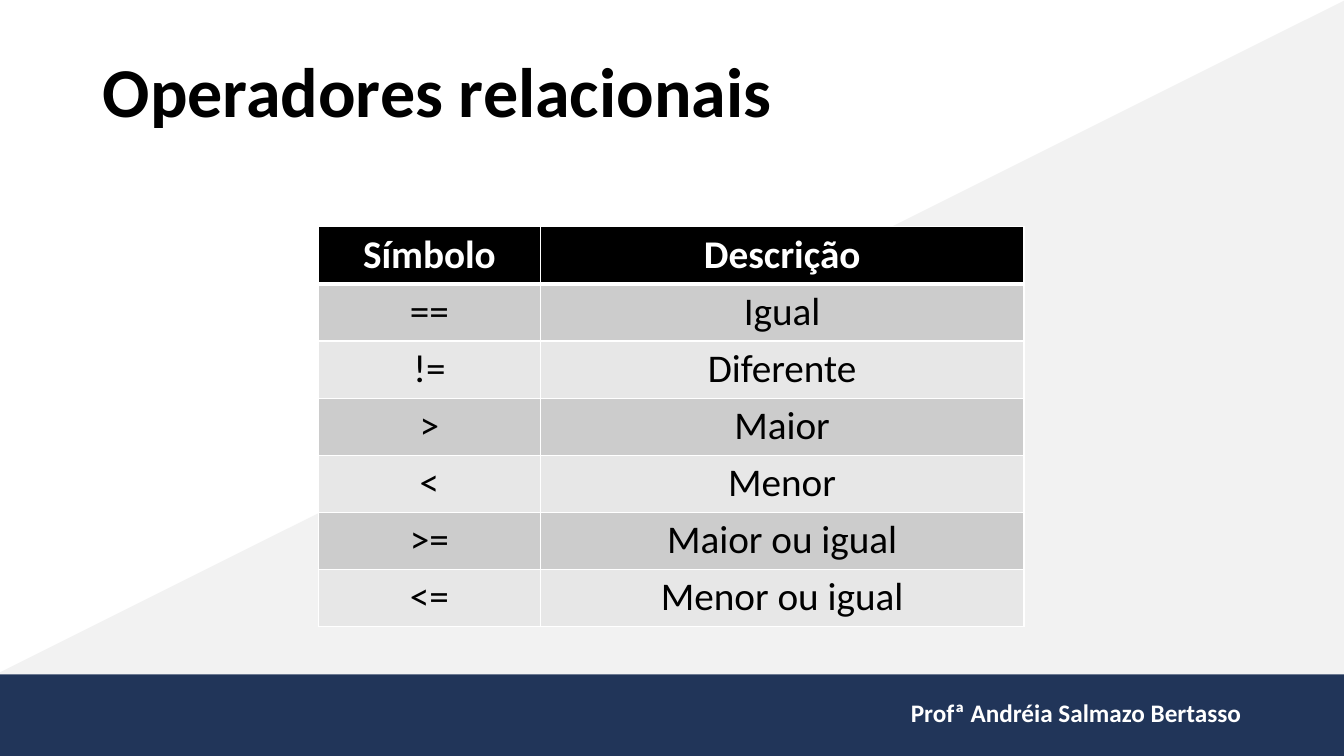
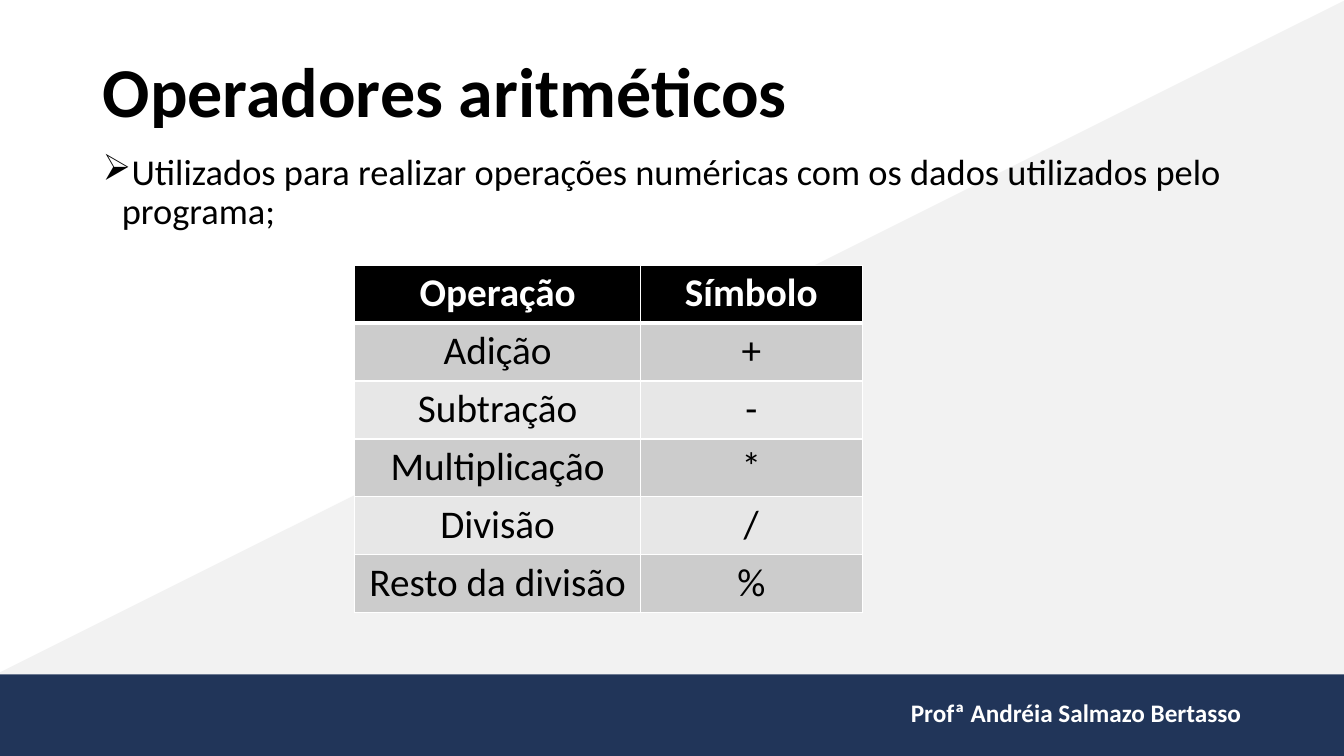
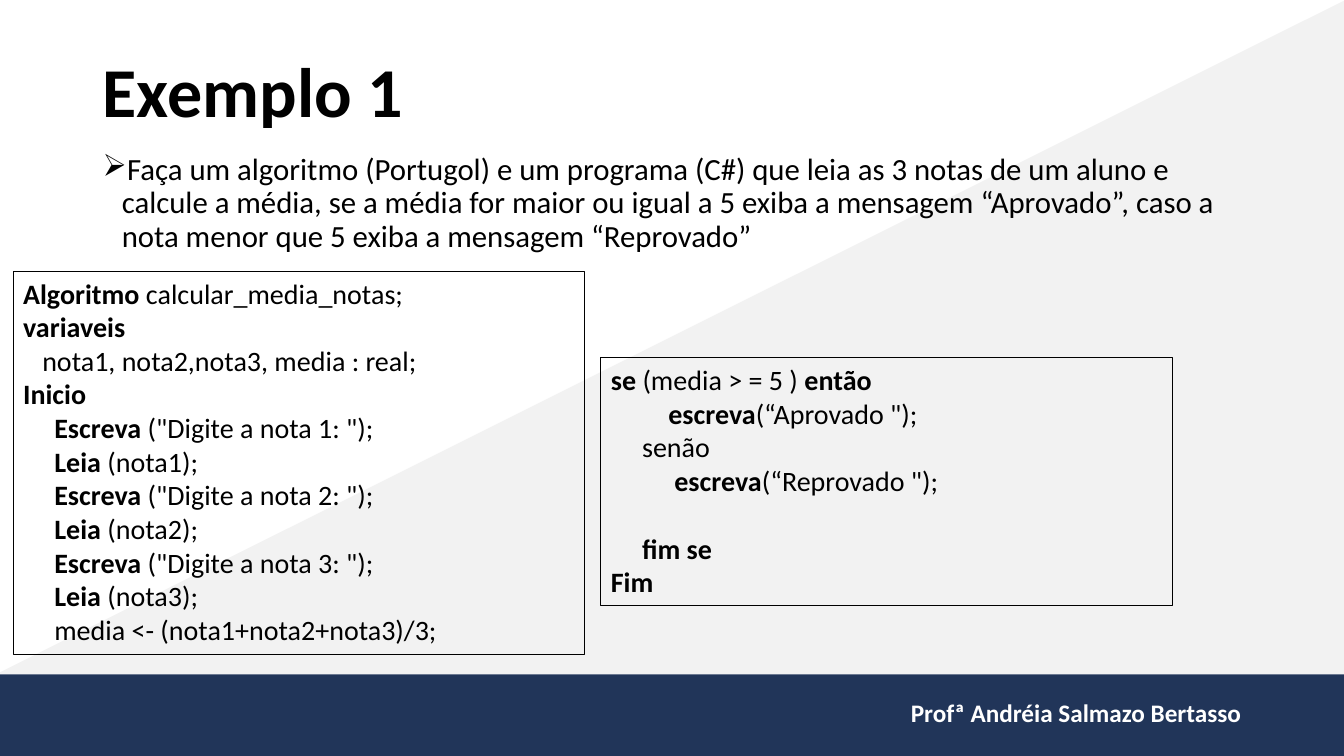
"""Build three lesson slides on operators and a first algorithm."""
from dataclasses import dataclass

from lxml import etree
from pptx import Presentation, util as u
from pptx.dml.color import RGBColor as Rgb
from pptx.enum import shapes, text
from pptx.oxml.ns import qn


@dataclass(frozen=True)
class Theme:
    font: str = "Calibri"
    ink: str = "000000"
    paper: str = "FFFFFF"
    wedge: str = "F2F2F2"
    band: str = "213559"
    rows: tuple = ("E7E7E7", "CCCCCC")
    title: int = 50
    cell: int = 28
    lead: int = 26
    task: int = 22
    code: int = 20
    foot: int = 18


look = Theme()
deck = Presentation()
deck.slide_width, deck.slide_height = u.Inches(13.33), u.Inches(7.5)
wide, high = deck.slide_width / 100, deck.slide_height / 100


def place(x, y, w, h):
    """Turn shares of the slide in percent into lengths."""
    return [u.Emu(round(n * m)) for n, m in zip((x, y, w, h), (wide, high) * 2)]


def write(par, line, size, color=look.ink, bold=False, align="LEFT",
          lead=1.0, gap=0, left=0, mark=None):
    """Fill a paragraph; each bar in the line toggles bold."""
    par.alignment = getattr(text.PP_ALIGN, align)
    par.line_spacing, par.space_before = lead, u.Pt(gap)
    props = par._p.get_or_add_pPr()
    props.set("marL", str(u.Inches(left)))
    if mark:
        props.set("indent", str(-u.Inches(left)))
        etree.SubElement(props, qn("a:buChar"), char=mark)
    for i, part in enumerate(line.split("|")):
        if part:
            run = par.add_run()
            run.text = part
            run.font.name, run.font.size = look.font, u.Pt(size)
            run.font.bold = bold ^ (i % 2 == 1)
            run.font.color.rgb = Rgb.from_string(color)


base = deck.slide_layouts.get_by_name("Title Only")
head = base.placeholders[0]
head.left, head.top, head.width, head.height = place(6.9, 5.33, 86.25, 14.4)

pages = [
    {"title": "Operadores relacionais",
     "table": {"at": (23.7, 30, 52.5, 52.93), "cols": (16.5, 36), "data": [
         ("Símbolo", "Descrição"), ("==", "Igual"), ("!=", "Diferente"),
         (">", "Maior"), ("<", "Menor"), (">=", "Maior ou igual"),
         ("<=", "Menor ou igual")]}},
    {"title": "Operadores aritméticos",
     "body": ("Utilizados para realizar operações numéricas com os dados "
              "utilizados pelo programa;", look.lead),
     "table": {"at": (26.4, 35.07, 37.75, 46), "cols": (21.25, 16.5), "data": [
         ("Operação", "Símbolo"), ("Adição", "+"), ("Subtração", "-"),
         ("Multiplicação", "*"), ("Divisão", "/"),
         ("Resto da divisão", "%")]}},
    {"title": "Exemplo 1",
     "body": ("Faça um algoritmo (Portugol) e um programa (C#) que leia as 3 "
              "notas de um aluno e calcule a média, se a média for maior ou "
              "igual a 5 exiba a mensagem “Aprovado”, caso a nota menor que 5 "
              "exiba a mensagem “Reprovado”", look.task),
     "code": [
         ((0.98, 35.87, 42.54, 50.67), [
             (0, 0, "Algoritmo |calcular_media_notas;"),
             (0, 0, "variaveis"),
             (0.19, 0, "|nota1, nota2,nota3, media : real;"),
             (0, 0, "Inicio"),
             *[(0.31, 0, step.format(n)) for n in (1, 2, 3) for step in
               ('Escreva| ("Digite a nota {}: ");', "Leia| (nota{});")],
             (0.31, 0, "|media <- (nota1+nota2+nota3)/3;")]),
         ((44.71, 47.33, 42.54, 32.8), [
             (0, 0, "se |(media > = 5 ) |então"),
             (0.57, 0, 'escreva|(“Aprovado ");'),
             (0.31, 0, "|senão"),
             (0.63, 0, 'escreva|(“Reprovado ");'),
             (0.31, 24.4, "fim se"),
             (0, 0, "Fim")])]},
]

for num, page in enumerate(pages):
    slide = deck.slides.add_slide(base)
    if num == 0:
        kinds = shapes.MSO_SHAPE
        parts = []
        for kind, at, fill in (
                (kinds.RIGHT_TRIANGLE, (-0.3, 0, 100.4, 89.2), look.wedge),
                (kinds.RECTANGLE, (0, 89.2, 100, 10.8), look.band)):
            part = slide.shapes.add_shape(kind, *place(*at))
            part.shadow.inherit = False
            part.fill.solid()
            part.fill.fore_color.rgb = Rgb.from_string(fill)
            part.line.fill.background()
            parts.append(part)
        parts[0].element.spPr.find(qn("a:xfrm")).set("flipH", "1")
        foot = slide.shapes.add_textbox(*place(65.94, 91.6, 27.16, 5.33))
        foot.text_frame.word_wrap = True
        write(foot.text_frame.paragraphs[0], "Profª Andréia Salmazo Bertasso",
              look.foot, color=look.paper, bold=True, align="RIGHT")
        for i, part in enumerate([*parts, foot]):
            base.shapes.element.insert(2 + i, part.element)

    frame = slide.shapes.title.text_frame
    frame.vertical_anchor = text.MSO_ANCHOR.MIDDLE
    frame.auto_size = text.MSO_AUTO_SIZE.NONE
    write(frame.paragraphs[0], page["title"], look.title, bold=True, lead=0.9)

    if "body" in page:
        body = slide.shapes.add_textbox(*place(6.9, 19.73, 86.25, 67.07))
        body.text_frame.word_wrap = True
        line, size = page["body"]
        write(body.text_frame.paragraphs[0], line, size,
              lead=0.9, gap=7.5, left=0.19, mark="➢")

    if "table" in page:
        data = page["table"]["data"]
        grid = slide.shapes.add_table(
            len(data), 2, *place(*page["table"]["at"])).table
        grid.horz_banding = False
        for col, share in zip(grid.columns, page["table"]["cols"]):
            col.width = u.Emu(round(share * wide))
        for r, row in enumerate(data):
            for c, word in enumerate(row):
                cell = grid.cell(r, c)
                cell.margin_top = cell.margin_bottom = u.Inches(0.04)
                for side in "LRTB":
                    thick = (r, side) in ((0, "B"), (1, "T"))
                    edge = etree.SubElement(
                        cell._tc.get_or_add_tcPr(), qn("a:ln" + side),
                        w=str(u.Pt(3 if thick else 1)))
                    fill = etree.SubElement(edge, qn("a:solidFill"))
                    etree.SubElement(fill, qn("a:srgbClr"), val=look.paper)
                cell.fill.solid()
                cell.fill.fore_color.rgb = Rgb.from_string(
                    look.rows[r % 2] if r else look.ink)
                write(cell.text_frame.paragraphs[0], word, look.cell,
                      color=look.ink if r else look.paper,
                      bold=r == 0, align="CENTER")

    for at, lines in page.get("code", []):
        box = slide.shapes.add_textbox(*place(*at))
        box.line.color.rgb = Rgb.from_string(look.ink)
        box.line.width = u.Pt(0.75)
        frame = box.text_frame
        frame.word_wrap = True
        for i, (left, gap, line) in enumerate(lines):
            par = frame.add_paragraph() if i else frame.paragraphs[0]
            write(par, line, look.code, bold=True, left=left, gap=gap)

deck.save("out.pptx")
